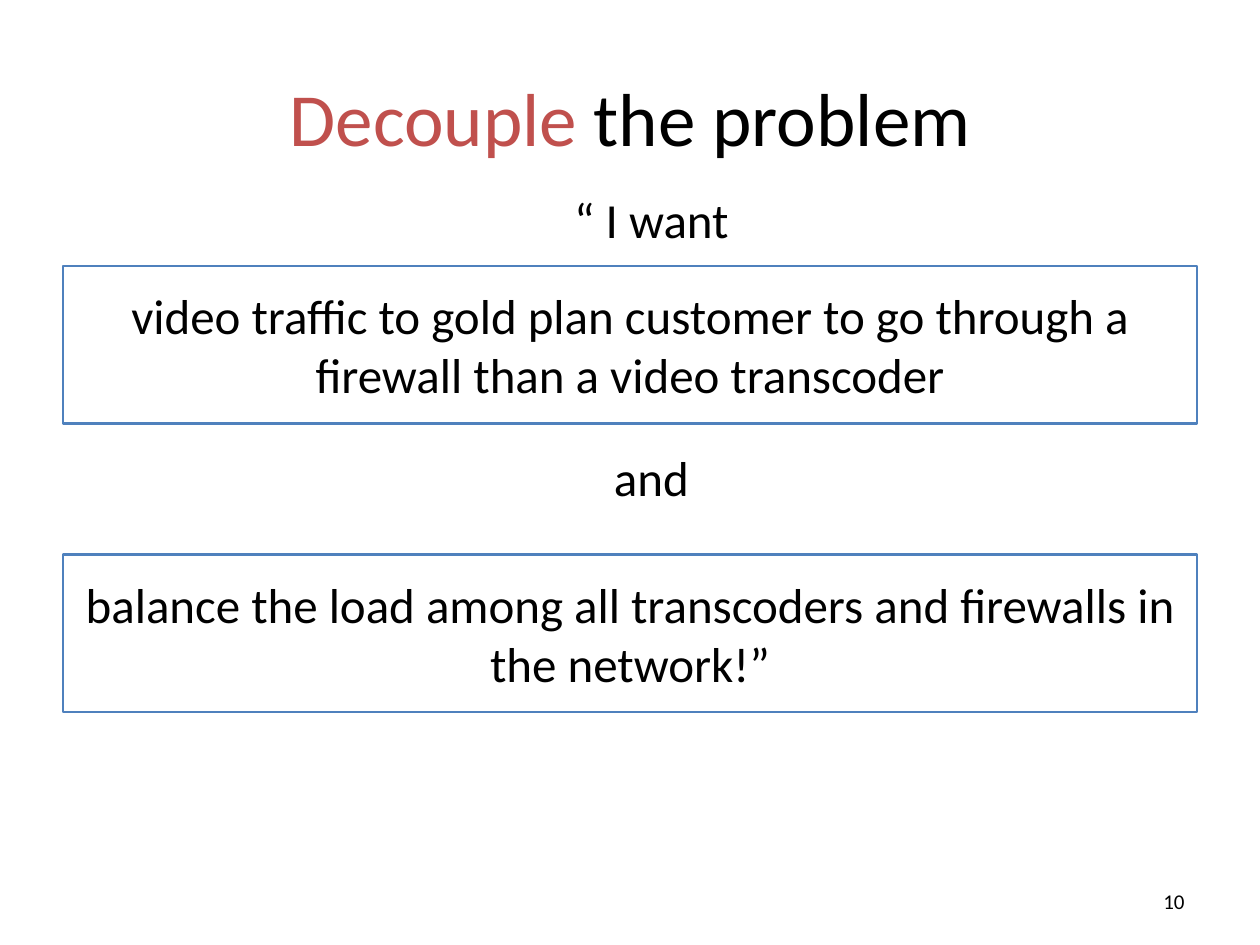
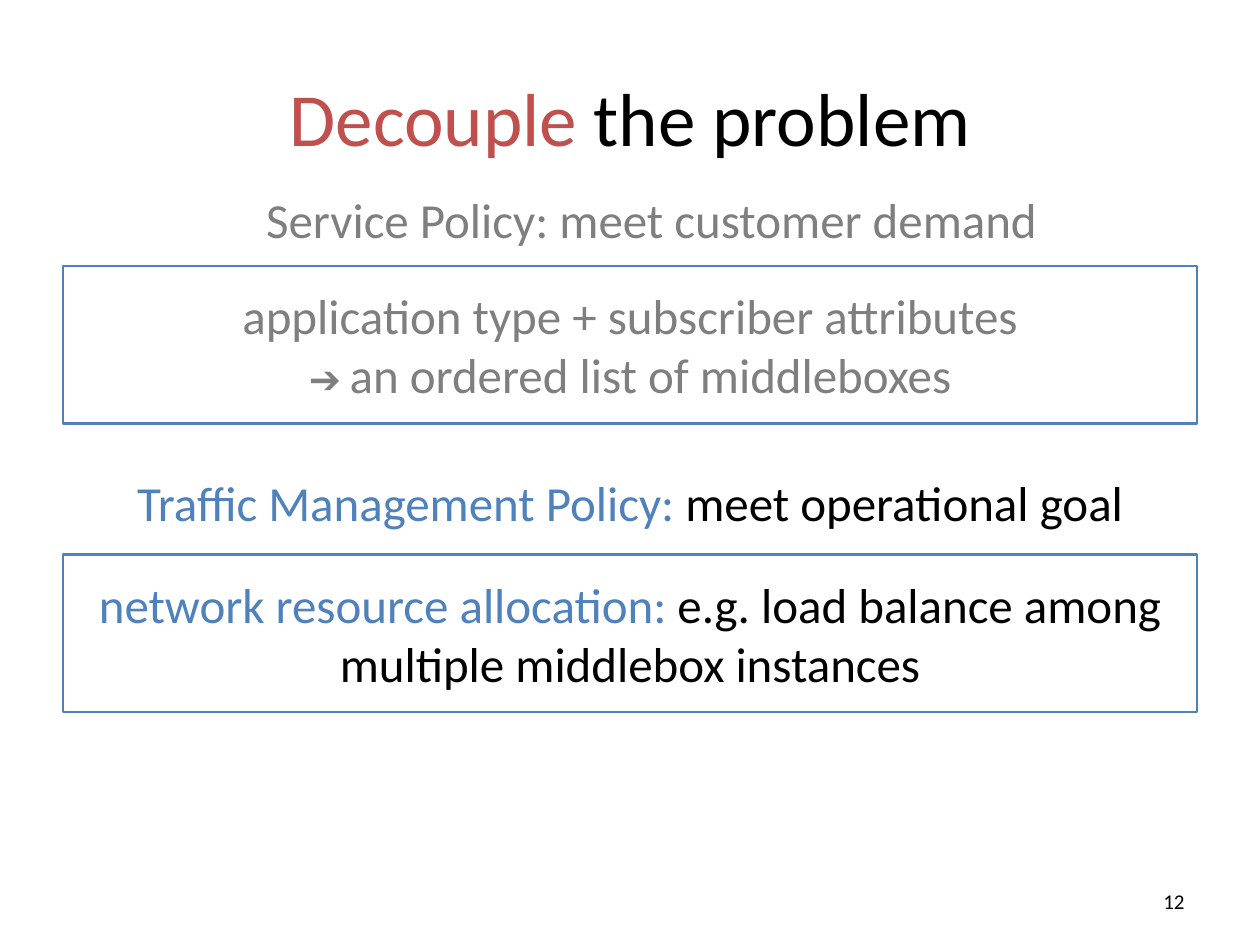
from pptx import Presentation
from pptx.dml.color import RGBColor
from pptx.enum.shapes import MSO_SHAPE
from pptx.enum.text import MSO_ANCHOR, MSO_AUTO_SIZE, PP_ALIGN
from pptx.util import Pt

RECTANGLE = MSO_SHAPE.RECTANGLE
MIDDLE = MSO_ANCHOR.MIDDLE
NO_AUTO_SIZE = MSO_AUTO_SIZE.NONE
CENTER, RIGHT = PP_ALIGN.CENTER, PP_ALIGN.RIGHT

COLORS = {"black": "000000", "gray": "7F7F7F", "blue": "4F81BD", "red": "C0504D"}
FONT = "Calibri"
BODY_SIZE = 28

TITLE = [("Decouple", "red"), (" the problem", "black")]
SLIDES = [
    {
        "number": "10",
        "labels": [
            ([("“ I want", "black")], 67, 111),
            ([("and", "black")], 67, 316),
        ],
        "boxes": [
            [("video traffic to gold plan customer to go through a "
              "firewall than a video transcoder", "black")],
            [("balance the load among all transcoders and firewalls in "
              "the network!”", "black")],
        ],
    },
    {
        "number": "12",
        "labels": [
            ([("Service Policy: meet customer demand", "gray")], 67, 111),
            ([("Traffic Management Policy: ", "blue"),
              ("meet operational goal", "black")], 50, 336),
        ],
        "boxes": [
            [("application type + subscriber attributes\n", "gray"),
             ("➔ ", "gray", 22),
             ("an ordered list of middleboxes", "gray")],
            [("network resource allocation: ", "blue"),
             ("e.g. load balance among multiple middlebox instances", "black")],
        ],
    },
]

PX = 9144
SLIDE_WIDTH, SLIDE_HEIGHT = 1000, 750
MARGIN = 50
BAND_WIDTH, BAND_HEIGHT = SLIDE_WIDTH - 2 * MARGIN, 125
TITLE_TOP = 30
BOX_TOP, BOX_STEP = 211, 229
NUMBER_AREA = (717, 695, 233, 40)


def color(name):
    return RGBColor.from_string(COLORS[name])


def scaled(*lengths):
    return [length * PX for length in lengths]


def write(shape, runs, size=BODY_SIZE, align=CENTER):
    frame = shape.text_frame
    frame.word_wrap = True
    frame.auto_size = NO_AUTO_SIZE
    frame.vertical_anchor = MIDDLE
    paragraph = frame.paragraphs[0]
    paragraph.alignment = align
    for text, color_name, *own_size in runs:
        run = paragraph.add_run()
        run.text = text.rstrip("\n")
        run.font.name = FONT
        run.font.size = Pt(own_size[0] if own_size else size)
        run.font.color.rgb = color(color_name)
        if text.endswith("\n"):
            paragraph.add_line_break()


def add_text(slide, area, runs, **text_format):
    write(slide.shapes.add_textbox(*scaled(*area)), runs, **text_format)


def add_box(slide, top, runs):
    box = slide.shapes.add_shape(
        RECTANGLE, *scaled(MARGIN, top, BAND_WIDTH, BAND_HEIGHT))
    box.shadow.inherit = False
    box.fill.background()
    box.line.color.rgb = color("blue")
    box.line.width = Pt(1.5)
    write(box, runs)


def add_slide(presentation, content):
    slide = presentation.slides.add_slide(presentation.slide_layouts[5])
    title = slide.shapes.title
    title.left, title.top, title.width, title.height = scaled(
        MARGIN, TITLE_TOP, BAND_WIDTH, BAND_HEIGHT)
    write(title, TITLE, size=42.9)
    for index, runs in enumerate(content["boxes"]):
        add_box(slide, BOX_TOP + index * BOX_STEP, runs)
    for runs, left, top in content["labels"]:
        add_text(slide, (left, top, BAND_WIDTH, BAND_HEIGHT), runs)
    add_text(slide, NUMBER_AREA, [(content["number"], "black")], size=12, align=RIGHT)


def main():
    presentation = Presentation()
    presentation.slide_width, presentation.slide_height = scaled(
        SLIDE_WIDTH, SLIDE_HEIGHT)
    for content in SLIDES:
        add_slide(presentation, content)
    presentation.save("out.pptx")


if __name__ == "__main__":
    main()
